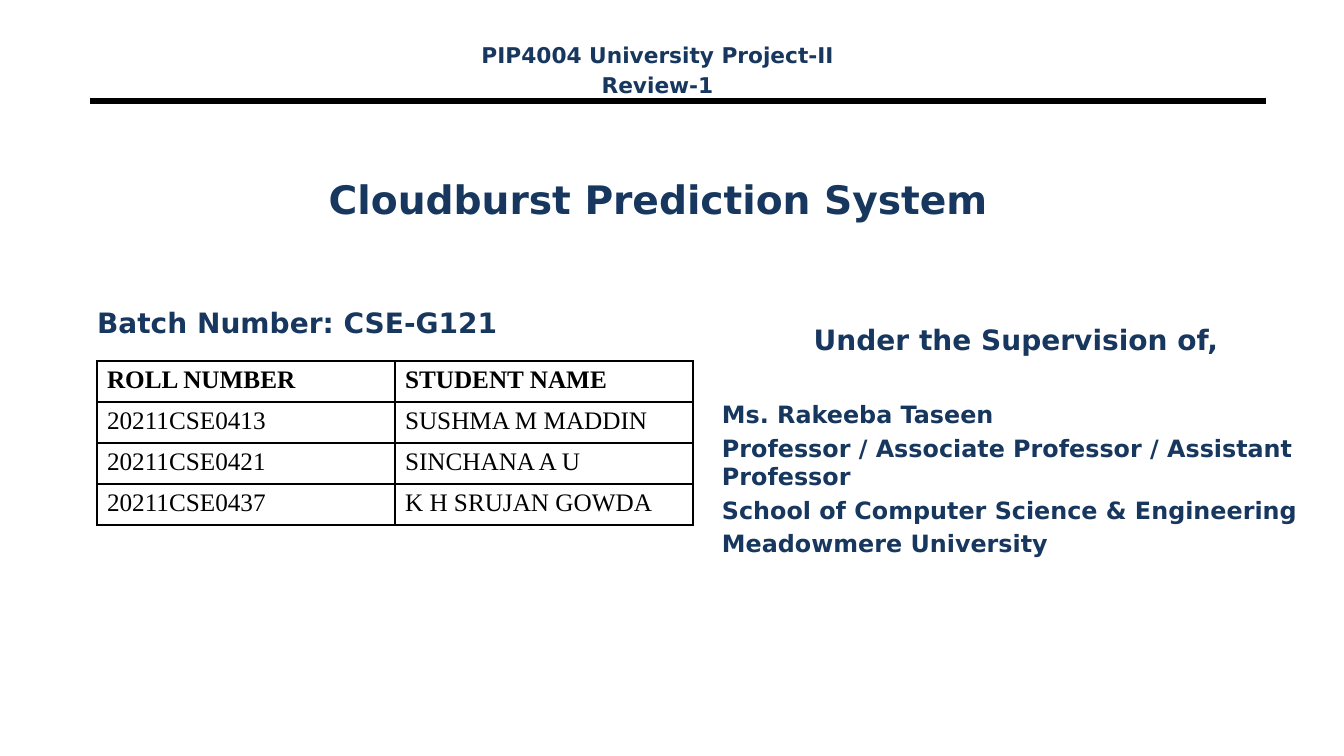
from lxml.etree import SubElement as Sub
from pptx import Presentation
from pptx.dml.color import RGBColor
from pptx.enum.shapes import MSO_CONNECTOR as Conn
from pptx.enum.text import MSO_ANCHOR as Anchor, MSO_AUTO_SIZE as Fit, PP_ALIGN as Align
from pptx.oxml.ns import qn
from pptx.util import Pt

NAVY = RGBColor(0x17, 0x37, 0x5E)
DEEP = RGBColor(0x17, 0x36, 0x5D)
BLACK = RGBColor(0, 0, 0)
WHITE = RGBColor(0xFF, 0xFF, 0xFF)
SANS, SERIF = "DejaVu Sans", "Times New Roman"

# Content: each line is a list of (text, colour) runs
HEAD = ["PIP4004 University Project-II", "Review-1"]
TITLE = "Cloudburst Prediction System"
BATCH = "Batch Number: CSE-G121"
GUIDE = "Under the Supervision of,"
STAFF = [
    [("Ms. ", NAVY), ("Rakeeba Taseen", DEEP)],
    [("Professor / Associate Professor / Assistant Professor", NAVY)],
    [("School of Computer Science & Engineering", NAVY)],
    [("Meadowmere University", NAVY)],
]
ROWS = [
    ("ROLL NUMBER", "STUDENT NAME"),
    ("20211CSE0413", "SUSHMA M MADDIN"),
    ("20211CSE0421", "SINCHANA A U"),
    ("20211CSE0437", "K H SRUJAN GOWDA"),
]

# Layout in px
WIDE, HIGH = 1344, 756
TITLE_BOX = (87, 118, 1142, 162)
BATCH_BOX = (87, 300, 437, 60)
GUIDE_BOX = (712, 318, 608, 268)
HEAD_BOX = (439, 37, 437, 60)
RULE = (90, 101, 1266, 101)
GRID_X, GRID_Y, COL_W, ROW_H = 97, 361, 298, 41
STAFF_GAP = 31


def px(n):
    return round(n * 914400 / 100.8)


def write(frame, text, size=18, font=SANS, color=NAVY, bold=True,
          align=Align.LEFT, gap=None, first=True):
    """Write one paragraph; text is a string or a list of (text, colour)."""
    para = frame.paragraphs[0] if first else frame.add_paragraph()
    para.alignment = align
    para.space_before = Pt(size / 5 if gap is None else gap)
    for part, tint in [(text, color)] if isinstance(text, str) else text:
        run = para.add_run()
        run.text = part
        run.font.name, run.font.size, run.font.bold = font, Pt(size), bold
        run.font.color.rgb = tint


def place(shape, box, anchor=Anchor.TOP):
    shape.left, shape.top, shape.width, shape.height = map(px, box)
    frame = shape.text_frame
    frame.word_wrap = True
    frame.auto_size = Fit.NONE
    frame.vertical_anchor = anchor
    return frame


def border(cell):
    props = cell._tc.get_or_add_tcPr()
    for i, side in enumerate(("lnL", "lnR", "lnT", "lnB")):
        line = props.makeelement(qn("a:" + side), {"w": "12700"})
        fill = Sub(line, qn("a:solidFill"))
        Sub(fill, qn("a:srgbClr"), val=str(BLACK))
        props.insert(i, line)


def main():
    deck = Presentation()
    deck.slide_width, deck.slide_height = px(WIDE), px(HIGH)
    slide = deck.slides.add_slide(deck.slide_layouts[0])
    shapes = slide.shapes

    # Header rule
    rule = shapes.add_connector(Conn.STRAIGHT, *map(px, RULE))
    rule.line.color.rgb, rule.line.width = BLACK, Pt(4.5)
    Sub(rule._element.spPr, qn("a:effectLst"))

    # Title and batch number
    write(place(shapes.title, TITLE_BOX, Anchor.MIDDLE), TITLE,
          size=28, align=Align.CENTER, gap=0)
    write(place(slide.placeholders[1], BATCH_BOX), BATCH, size=20)

    # Supervisor
    guide = place(shapes.add_textbox(0, 0, 0, 0), GUIDE_BOX)
    write(guide, GUIDE, size=20, align=Align.CENTER)
    for i, line in enumerate(STAFF):
        write(guide, line, size=17, first=False, gap=None if i else STAFF_GAP)

    # Course header
    head = place(shapes.add_textbox(0, 0, 0, 0), HEAD_BOX)
    for i, line in enumerate(HEAD):
        write(head, line, size=15.5, align=Align.CENTER, first=i == 0)

    # Student table
    cols = len(ROWS[0])
    table = shapes.add_table(len(ROWS), cols, px(GRID_X), px(GRID_Y),
                             px(COL_W * cols), px(ROW_H * len(ROWS))).table
    table.horz_banding = False
    for col in table.columns:
        col.width = px(COL_W)
    for r, row in enumerate(ROWS):
        table.rows[r].height = px(ROW_H)
        for c, text in enumerate(row):
            cell = table.cell(r, c)
            cell.fill.solid()
            cell.fill.fore_color.rgb = WHITE
            border(cell)
            write(cell.text_frame, text, font=SERIF, color=BLACK,
                  bold=r == 0, gap=0)

    deck.save("out.pptx")


if __name__ == "__main__":
    main()
